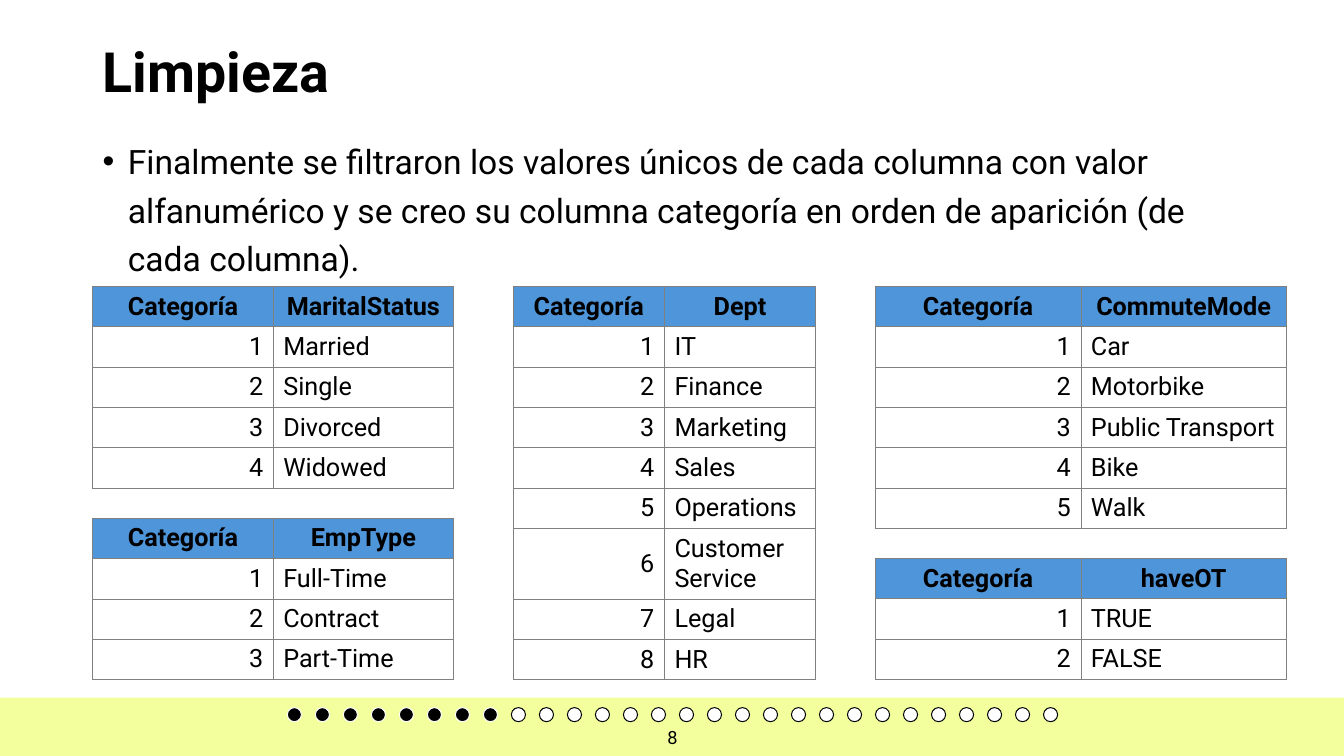
from lxml import etree
from pptx import Presentation
from pptx.dml.color import RGBColor
from pptx.enum.shapes import MSO_SHAPE
from pptx.enum.text import MSO_ANCHOR as Anchor, PP_ALIGN as Align
from pptx.oxml import parse_xml
from pptx.oxml.ns import nsdecls, qn
from pptx.util import Inches, Pt

HEADER_BLUE = "4E95D9"
BAND_YELLOW = "E8FF3C"
GRID_GRAY = "808080"
BLACK, WHITE = "000000", "FFFFFF"


def color(hex_code):
    return RGBColor.from_string(hex_code)


def write(text_frame, text, size, align=Align.LEFT, bold=False):
    """Set one paragraph of black Roboto text and return it."""
    text_frame.text = text
    paragraph = text_frame.paragraphs[0]
    paragraph.alignment = align
    font = paragraph.runs[0].font
    font.name, font.size, font.bold = "Roboto", Pt(size), bold
    font.color.rgb = color(BLACK)
    return paragraph


presentation = Presentation()
presentation.slide_width = Inches(13.33)
presentation.slide_height = Inches(7.5)
slide = presentation.slides.add_slide(presentation.slide_layouts[5])
shapes = slide.shapes

# Footer band
band = shapes.add_shape(MSO_SHAPE.RECTANGLE, 0, Inches(6.92), Inches(13.33), Inches(0.58))
band.shadow.inherit = False
band.fill.solid()
band.fill.fore_color.rgb = color(BAND_YELLOW)
band.line.fill.background()
band_color = band.fill._xPr.find(qn("a:solidFill"))[0]
etree.SubElement(band_color, qn("a:alpha")).set("val", "50000")

# Title
title = shapes.title
title.left, title.top = Inches(0.92), Inches(0.4)
title.width, title.height = Inches(11.5), Inches(0.68)
title.text_frame.vertical_anchor = Anchor.MIDDLE
write(title.text_frame, "Limpieza", 39.6, bold=True).line_spacing = 0.9

# Bulleted explanation
body = shapes.add_textbox(Inches(0.92), Inches(1.27), Inches(11.5), Inches(1.78))
body.text_frame.word_wrap = True
paragraph = write(
    body.text_frame,
    "Finalmente se filtraron los valores únicos de cada columna con valor "
    "alfanumérico y se creo su columna categoría en orden de aparición "
    "(de cada columna).",
    24,
)
paragraph.line_spacing = 1.2
paragraph.space_before, paragraph.space_after = Pt(10), Pt(6)
properties = paragraph._p.get_or_add_pPr()
properties.set("marL", str(Inches(0.25)))
properties.set("indent", str(-Inches(0.25)))
etree.SubElement(properties, qn("a:buFont")).set("typeface", "Arial")
etree.SubElement(properties, qn("a:buChar")).set("char", "•")

# Category tables: left, top, column width, heading, values
tables = [
    (0.92, 2.84, 1.79, "MaritalStatus", ["Married", "Single", "Divorced", "Widowed"]),
    (8.68, 5.54, 2.04, "haveOT", ["TRUE", "FALSE"]),
    (5.09, 2.84, 1.5, "Dept", ["IT", "Finance", "Marketing", "Sales", "Operations",
                               "Customer Service", "Legal", "HR"]),
    (0.92, 5.14, 1.79, "EmpType", ["Full-Time", "Contract", "Part-Time"]),
    (8.68, 2.84, 2.04, "CommuteMode", ["Car", "Motorbike", "Public Transport", "Bike", "Walk"]),
]
ROW_HEIGHT = 0.39

for left, top, column_width, heading, values in tables:
    rows = [("Categoría", heading)]
    rows += [(str(number), value) for number, value in enumerate(values, 1)]
    table = shapes.add_table(
        len(rows), 2, Inches(left), Inches(top),
        Inches(2 * column_width), Inches(ROW_HEIGHT * len(rows)),
    ).table
    table.first_row = table.horz_banding = False
    for row_index, row in enumerate(rows):
        is_header = row_index == 0
        for column_index, text in enumerate(row):
            cell = table.cell(row_index, column_index)
            cell.vertical_anchor = Anchor.MIDDLE
            align = Align.CENTER if is_header else (Align.RIGHT, Align.LEFT)[column_index]
            write(cell.text_frame, text, 18, align, is_header)
            cell_properties = cell._tc.get_or_add_tcPr()
            for side in ("lnL", "lnR", "lnT", "lnB"):
                cell_properties.append(parse_xml(
                    f'<a:{side} {nsdecls("a")} w="{Pt(0.5)}"><a:solidFill>'
                    f'<a:srgbClr val="{GRID_GRAY}"/></a:solidFill></a:{side}>'
                ))
            if is_header:
                cell.fill.solid()
                cell.fill.fore_color.rgb = color(HEADER_BLUE)
            else:
                cell.fill.background()

# Progress dots
SLIDE_NUMBER, SLIDE_COUNT = 8, 28
dot_pitch = 7.5 / (SLIDE_COUNT - 1)
for index in range(SLIDE_COUNT):
    fill, outline = (BLACK, WHITE) if index < SLIDE_NUMBER else (WHITE, BLACK)
    dot = shapes.add_shape(
        MSO_SHAPE.OVAL, Inches(2.85 + index * dot_pitch), Inches(7.02),
        Inches(0.14), Inches(0.14),
    )
    dot.shadow.inherit = False
    dot.fill.solid()
    dot.fill.fore_color.rgb = color(fill)
    dot.line.color.rgb = color(outline)
    dot.line.width = Pt(0.71)

# Slide number
number_box = shapes.add_textbox(Inches(5.17), Inches(7.11), Inches(3), Inches(0.4))
number_box.text_frame.word_wrap = True
number_box.text_frame.vertical_anchor = Anchor.MIDDLE
write(number_box.text_frame, str(SLIDE_NUMBER), 13, Align.CENTER)

presentation.save("out.pptx")
